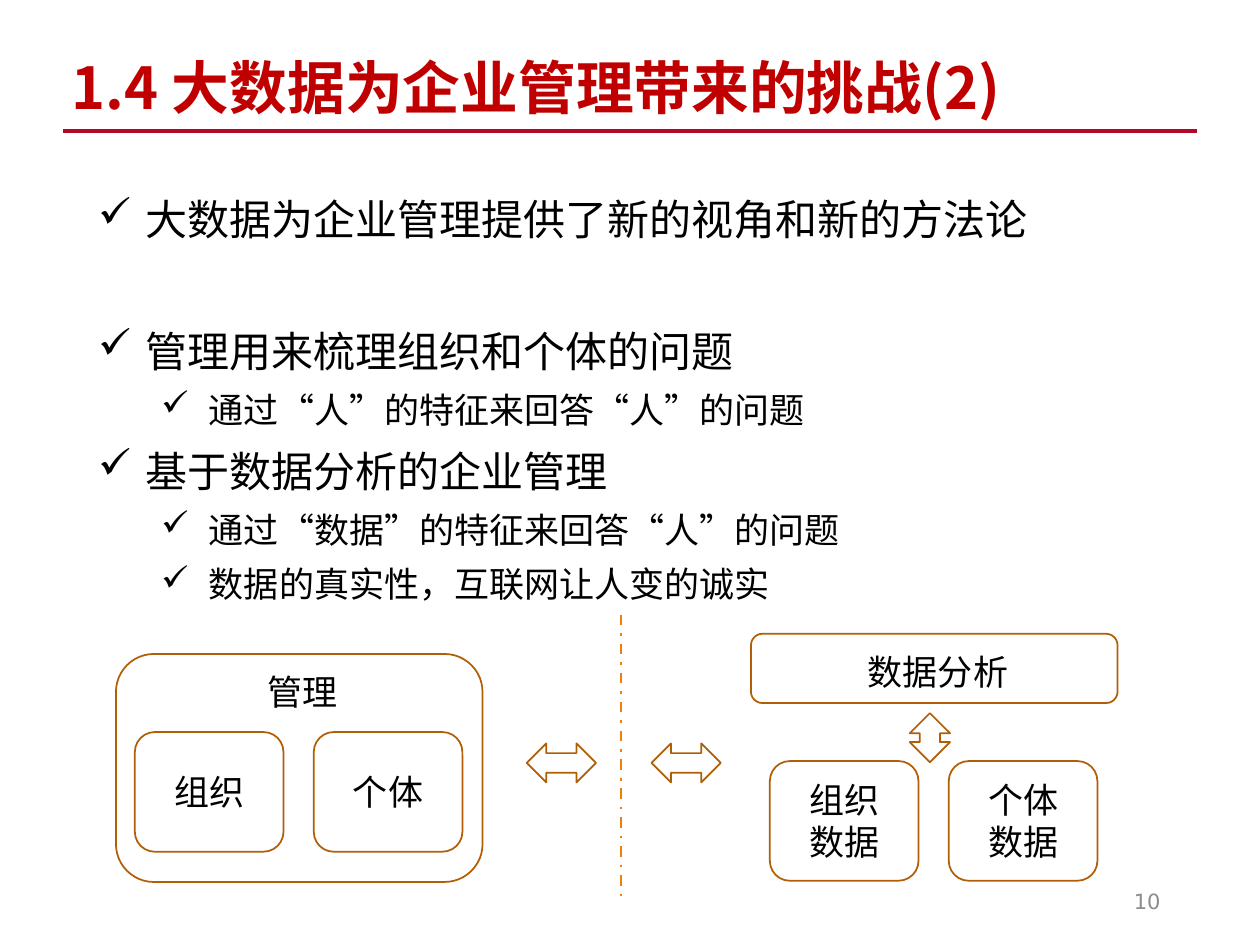
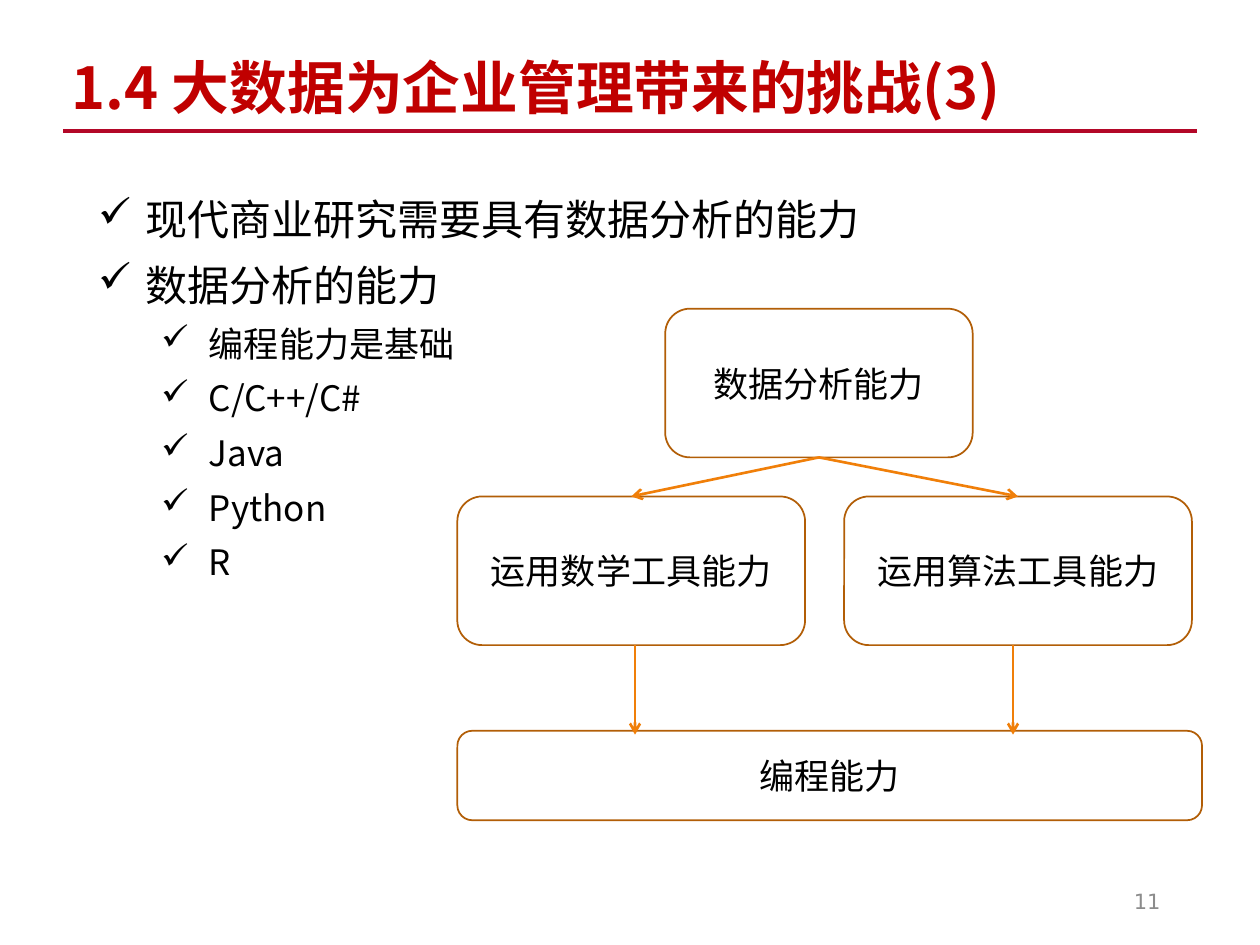
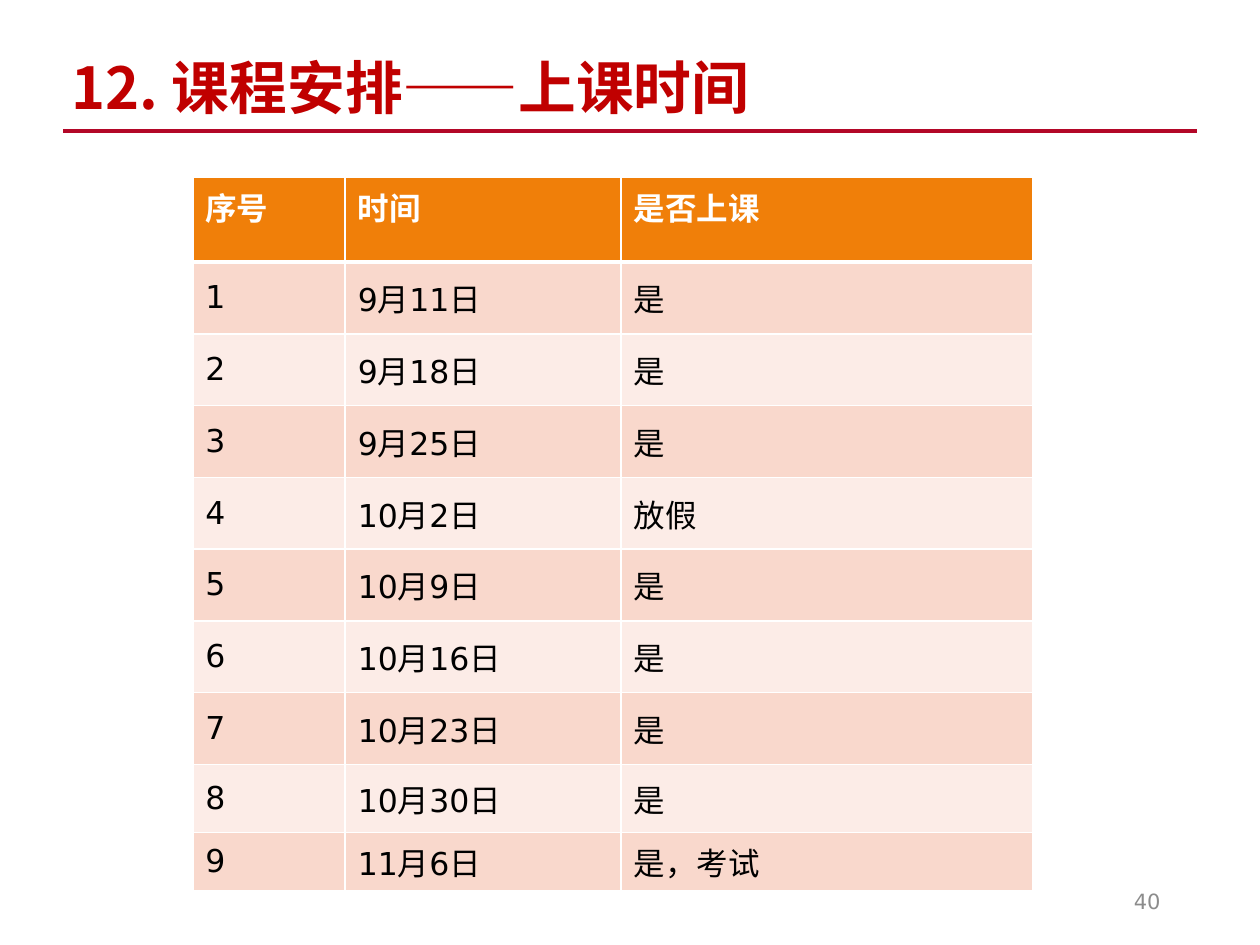
from lxml import etree
from pptx import Presentation
from pptx.dml.color import RGBColor
from pptx.enum.dml import MSO_LINE
from pptx.enum.lang import MSO_LANGUAGE_ID as Lang
from pptx.enum.shapes import MSO_CONNECTOR, MSO_SHAPE
from pptx.enum.text import MSO_ANCHOR as Anchor, MSO_AUTO_SIZE, PP_ALIGN as Align
from pptx.oxml.ns import qn
from pptx.util import Inches, Pt

CJK_FONT, NUMBER_FONT = "Noto Sans CJK SC", "DejaVu Sans"
BLACK, WHITE, GREY = "000000", "FFFFFF", "8C8C8C"
TITLE_RED, RULE_RED = "C00000", "B30728"
ORANGE, OUTLINE = "F07F09", "B25E07"
BANDS = ["F9D8CC", "FCECE7"]


def color(hex_code):
    return RGBColor.from_string(hex_code)


def child(parent, tag, **attributes):
    return etree.SubElement(parent, qn(tag), attributes)


def add_run(paragraph, text, size, hex_code=BLACK, bold=False, font=CJK_FONT):
    run = paragraph.add_run()
    run.text = text
    run.font.size = Pt(size)
    run.font.bold = bold
    run.font.name = font
    run.font.color.rgb = color(hex_code)
    run.font.language_id = Lang.SIMPLIFIED_CHINESE
    child(run.font._element, "a:ea", typeface=CJK_FONT)


def write_lines(frame, lines, size, align=Align.CENTER, anchor=Anchor.TOP, **style):
    frame.word_wrap = True
    frame.auto_size = MSO_AUTO_SIZE.NONE
    frame.vertical_anchor = anchor
    for index, line in enumerate(lines):
        paragraph = frame.add_paragraph() if index else frame.paragraphs[0]
        paragraph.alignment = align
        add_run(paragraph, line, size, **style)


def add_label(slide, x, y, w, h, text, size=20, **style):
    label = slide.shapes.add_textbox(Inches(x), Inches(y), Inches(w), Inches(h))
    write_lines(label.text_frame, [text], size, **style)


def add_outline(slide, x, y, w, h, *lines, kind=MSO_SHAPE.ROUNDED_RECTANGLE):
    outline = slide.shapes.add_shape(kind, Inches(x), Inches(y), Inches(w), Inches(h))
    outline.shadow.inherit = False
    outline.fill.background()
    outline.line.color.rgb = color(OUTLINE)
    outline.line.width = Pt(1)
    write_lines(outline.text_frame, lines, 20, anchor=Anchor.MIDDLE)
    return outline


def add_line(slide, x1, y1, x2, y2, hex_code=ORANGE, width=1.5, arrow=False):
    line = slide.shapes.add_connector(
        MSO_CONNECTOR.STRAIGHT, Inches(x1), Inches(y1), Inches(x2), Inches(y2))
    line.line.color.rgb = color(hex_code)
    line.line.width = Pt(width)
    if arrow:
        child(line.line._get_or_add_ln(), "a:tailEnd", type="arrow")
    child(line._element.spPr, "a:effectLst")
    return line


def add_page(deck, heading, number):
    slide = deck.slides.add_slide(deck.slide_layouts[5])
    title = slide.shapes.title
    title.left, title.top = Inches(0.47), Inches(0.36)
    title.width, title.height = Inches(9.04), Inches(0.66)
    write_lines(title.text_frame, [heading], 33, align=Align.LEFT,
                hex_code=TITLE_RED, bold=True)
    add_line(slide, 0.5, 1.04, 9.5, 1.04, RULE_RED, 2)
    add_label(slide, 7.06, 6.95, 2.25, 0.4, number, 12, align=Align.RIGHT,
              anchor=Anchor.MIDDLE, hex_code=GREY, font=NUMBER_FONT)
    return slide


def add_checklist(slide, x, y, w, h, items):
    checklist = slide.shapes.add_textbox(Inches(x), Inches(y), Inches(w), Inches(h))
    frame = checklist.text_frame
    frame.word_wrap = True
    for index, (level, text, gap) in enumerate(items):
        paragraph = frame.add_paragraph() if index else frame.paragraphs[0]
        paragraph.level = level
        paragraph.line_spacing = 1.3
        paragraph.space_before = Pt(gap)
        properties = paragraph._p.get_or_add_pPr()
        properties.set("marL", str(Inches(0.38 + 0.5 * level)))
        properties.set("indent", str(Inches(-0.38)))
        child(properties, "a:buChar", char="✓")
        add_run(paragraph, text, 20 if level else 24)


def add_people_pair(slide, x, y, organization, individual):
    for index, lines in enumerate([organization, individual]):
        add_outline(slide, x + 1.42 * index, y, 1.18, 0.95, *lines)


def add_management(slide, x, y):
    add_outline(slide, x, y, 2.91, 1.81)
    add_people_pair(slide, x + 0.15, y + 0.62, ["组织"], ["个体"])
    add_label(slide, x + 0.62, y + 0.08, 1.73, 0.44, "管理")


def add_data_analysis(slide, x, y):
    add_outline(slide, x, y, 2.91, 0.55)
    add_people_pair(slide, x + 0.15, y + 1.01, ["组织", "数据"], ["个体", "数据"])
    add_label(slide, x + 0.62, y + 0.08, 1.73, 0.44, "数据分析")
    add_outline(slide, x + 1.26, y + 0.63, 0.32, 0.39, kind=MSO_SHAPE.UP_DOWN_ARROW)


def add_divider(slide, x, y, h):
    divider = add_line(slide, x, y, x, y + h)
    divider.line.dash_style = MSO_LINE.DASH_DOT
    for offset in (-0.63, 0.36):
        exchange = add_outline(slide, x + offset, y + 0.9, 0.31, 0.55,
                               kind=MSO_SHAPE.UP_DOWN_ARROW)
        exchange.rotation = 90


def add_skill_tree(slide, x, y):
    analysis = add_outline(slide, x + 1.65, y, 2.44, 1.18, "数据分析能力")
    tools = [add_outline(slide, x + 3.07 * index, y + 1.49, 2.76, 1.18, text)
             for index, text in enumerate(["运用数学工具能力", "运用算法工具能力"])]
    add_outline(slide, x, y + 3.35, 5.91, 0.71, "编程能力")
    for index, tool in enumerate(tools):
        branch = add_line(slide, x + 2.87, y + 1.18, x + 1.38 + 3.07 * index, y + 1.49,
                          arrow=True)
        branch.begin_connect(analysis, 2)
        branch.end_connect(tool, 0)
        stem = x + 1.41 + 3 * index
        add_line(slide, stem, y + 2.67, stem, y + 3.38, arrow=True)


def style_cell(cell, text, fill, header):
    properties = cell._tc.get_or_add_tcPr()
    for side in ("L", "R", "T", "B"):
        width = Pt(3 if header and side == "B" else 1)
        border = child(properties, f"a:ln{side}", w=str(width))
        child(child(border, "a:solidFill"), "a:srgbClr", val=WHITE)
    cell.fill.solid()
    cell.fill.fore_color.rgb = color(fill)
    cell.vertical_anchor = Anchor.TOP if header else Anchor.MIDDLE
    add_run(cell.text_frame.paragraphs[0], text, 18, WHITE if header else BLACK,
            header, NUMBER_FONT)


def add_schedule(slide, x, y, header, sessions):
    widths = [1.21, 2.19, 3.27]
    heights = [0.67] + [0.57] * 7 + [0.54, 0.42]
    rows = [header] + [(str(number), *session)
                       for number, session in enumerate(sessions, 1)]
    schedule = slide.shapes.add_table(
        len(rows), len(widths), Inches(x), Inches(y),
        Inches(sum(widths)), Inches(sum(heights))).table
    for column, width in zip(schedule.columns, widths):
        column.width = Inches(width)
    for index, (texts, height) in enumerate(zip(rows, heights)):
        schedule.rows[index].height = Inches(height)
        fill = BANDS[(index - 1) % 2] if index else ORANGE
        for column, text in enumerate(texts):
            style_cell(schedule.cell(index, column), text, fill, index == 0)


def build_perspective(deck):
    slide = add_page(deck, "1.4 大数据为企业管理带来的挑战(2)", "10")
    add_checklist(slide, 0.68, 1.37, 8.82, 3.51, [
        (0, "大数据为企业管理提供了新的视角和新的方法论", 0),
        (0, "管理用来梳理组织和个体的问题", 37.5),
        (1, "通过“人”的特征来回答“人”的问题", 0),
        (0, "基于数据分析的企业管理", 0),
        (1, "通过“数据”的特征来回答“人”的问题", 0),
        (1, "数据的真实性，互联网让人变的诚实", 0),
    ])
    add_management(slide, 0.92, 5.19)
    add_divider(slide, 4.93, 4.88, 2.28)
    add_data_analysis(slide, 5.96, 5.03)


def build_skills(deck):
    slide = add_page(deck, "1.4 大数据为企业管理带来的挑战(3)", "11")
    topics = ["现代商业研究需要具有数据分析的能力", "数据分析的能力"]
    details = ["编程能力是基础", "C/C++/C#", "Java", "Python", "R"]
    add_checklist(slide, 0.68, 1.37, 8.82, 3.34,
                  [(0, topic, 0) for topic in topics]
                  + [(1, detail, 0) for detail in details])
    add_skill_tree(slide, 3.63, 2.45)


def build_timetable(deck):
    slide = add_page(deck, "12. 课程安排——上课时间", "40")
    add_schedule(slide, 1.53, 1.41, ("序号", "时间", "是否上课"), [
        ("9月11日", "是"),
        ("9月18日", "是"),
        ("9月25日", "是"),
        ("10月2日", "放假"),
        ("10月9日", "是"),
        ("10月16日", "是"),
        ("10月23日", "是"),
        ("10月30日", "是"),
        ("11月6日", "是，考试"),
    ])


def main():
    deck = Presentation()
    deck.slide_width, deck.slide_height = Inches(10), Inches(7.5)
    build_perspective(deck)
    build_skills(deck)
    build_timetable(deck)
    deck.save("out.pptx")


if __name__ == "__main__":
    main()
